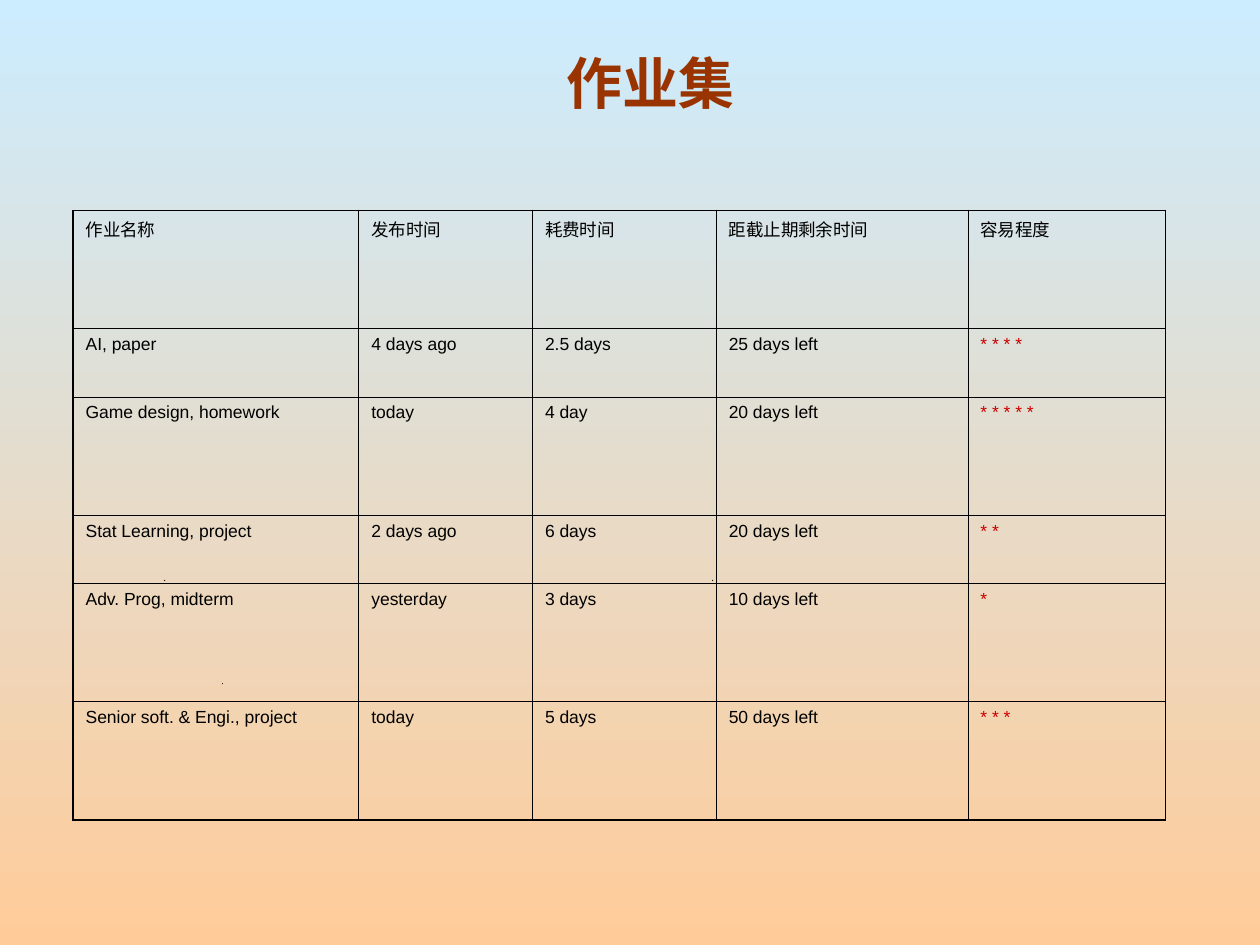
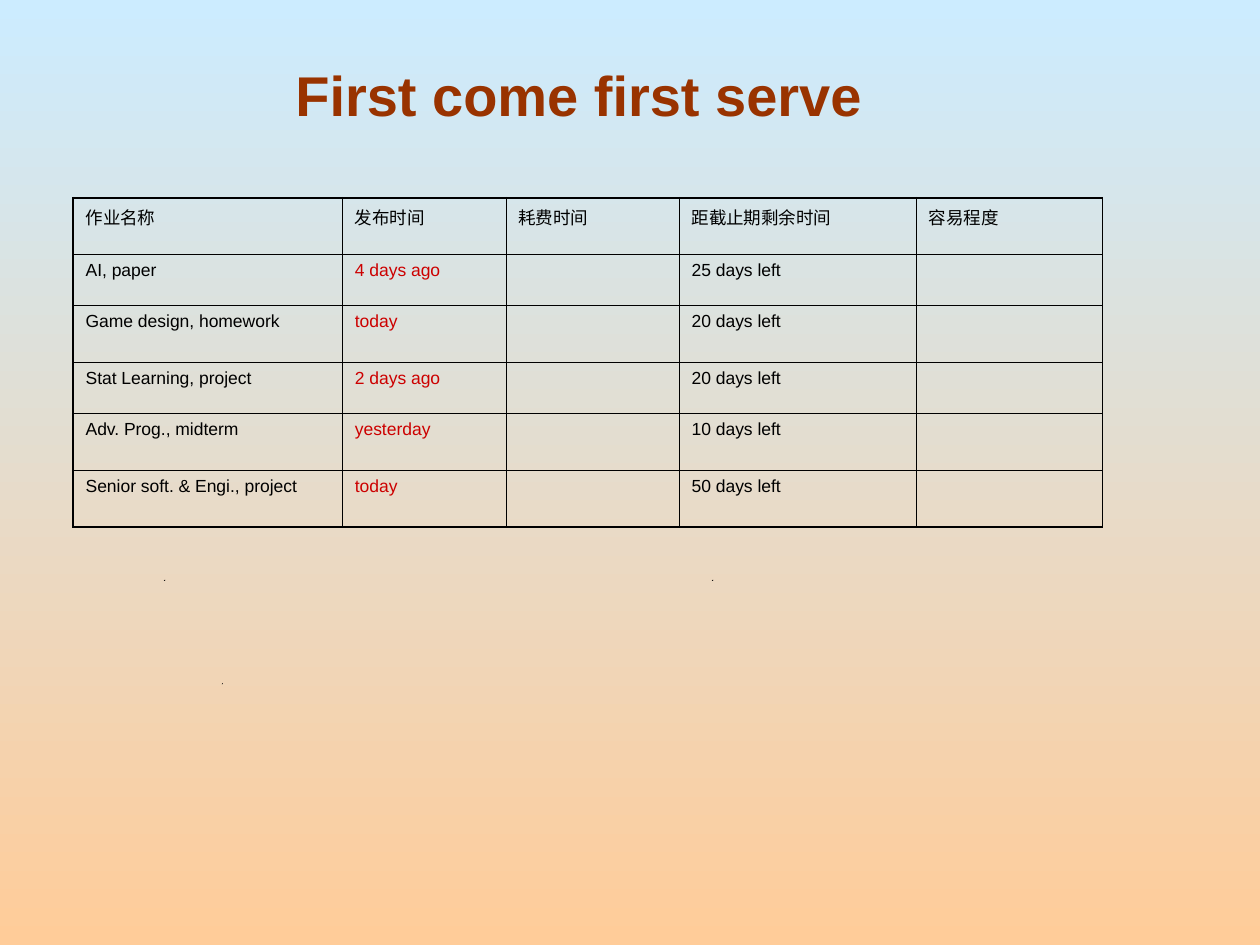
import dataclasses

import lxml.etree
import pptx
import pptx.dml.color
import pptx.enum.text
import pptx.oxml.ns
import pptx.presentation
import pptx.slide
import pptx.table
import pptx.util

Inches = pptx.util.Inches
Pt = pptx.util.Pt
Anchor = pptx.enum.text.MSO_ANCHOR


@dataclasses.dataclass(frozen=True)
class Theme:
    sky: str = "CCECFF"
    peach: str = "FFCC99"
    title: str = "993300"
    ink: str = "000000"
    key: str = "CC0000"
    font: str = "Arial"
    title_size: int = 32
    cell_size: int = 10
    outer_line: float = 1.08
    inner_line: float = 0.45


THEME = Theme()


@dataclasses.dataclass(frozen=True)
class Area:
    left: float
    top: float
    width: float
    height: float


@dataclasses.dataclass(frozen=True)
class Assignment:
    name: str
    released: str
    effort: str
    remaining: str
    ease: str


@dataclasses.dataclass(frozen=True)
class Schedule:
    """One slide: its title, its table and the field shown in the key colour."""
    title: str
    title_area: Area
    title_anchor: Anchor
    title_insets: tuple[float, float]
    left: float
    top: float
    width: float
    tall_row: float
    short_row: float
    key_field: str
    assignments: list[Assignment]


HEADINGS = Assignment("作业名称", "发布时间", "耗费时间", "距截止期剩余时间", "容易程度")
FIELDS = [field.name for field in dataclasses.fields(Assignment)]
COLUMN_PARTS = [2.27, 1.38, 1.46, 2, 1.57]
SHORT_ROWS = (1, 3)
SPECKS = [(1.76, 5.42), (1.3, 4.6), (5.65, 4.6)]
SPECK_SIZE = 0.01

ASSIGNMENTS = [
    Assignment("AI, paper", "4 days ago", "2.5 days", "25 days left", "* * * *"),
    Assignment("Game design, homework", "today", "4 day", "20 days left", "* * * * *"),
    Assignment("Stat Learning, project", "2 days ago", "6 days", "20 days left", "* *"),
    Assignment("Adv. Prog, midterm", "yesterday", "3 days", "10 days left", "*"),
    Assignment("Senior soft. & Engi., project", "today", "5 days", "50 days left", "* * *"),
]
ARRIVALS = [
    dataclasses.replace(item, name=item.name.replace("Prog,", "Prog.,"), effort="", ease="")
    for item in ASSIGNMENTS
]

SCHEDULES = [
    Schedule("作业集", Area(0.75, 0.25, 8.83, 0.67), Anchor.BOTTOM, (0, 0),
             0.58, 1.67, 8.67, 0.94, 0.54, "ease", ASSIGNMENTS),
    Schedule("First come first serve", Area(0.21, 0.25, 8.77, 1), Anchor.MIDDLE, (0.1, 0.05),
             0.58, 1.57, 8.17, 0.45, 0.38, "released", ARRIVALS),
]


def rgb(value: str) -> pptx.dml.color.RGBColor:
    return pptx.dml.color.RGBColor.from_string(value)


def paint_background(deck: pptx.presentation.Presentation) -> None:
    fill = deck.slide_master.background.fill
    fill.gradient()
    fill.gradient_angle = 270
    for stop, color in zip(fill.gradient_stops, (THEME.sky, THEME.peach)):
        stop.color.rgb = rgb(color)


def add_specks(page: pptx.slide.Slide) -> None:
    for left, top in SPECKS:
        right, bottom = Inches(left + SPECK_SIZE), Inches(top + SPECK_SIZE)
        builder = page.shapes.build_freeform(Inches(left), bottom)
        builder.add_line_segments([(right, Inches(top)), (right, bottom)])
        speck = builder.convert_to_shape()
        speck.shadow.inherit = False
        speck.fill.solid()
        speck.fill.fore_color.rgb = rgb(THEME.ink)
        speck.line.fill.background()


def style_paragraph(paragraph, size: int, color: str, bold: bool = False) -> None:
    for span in paragraph.runs:
        span.font.name = THEME.font
        span.font.size = Pt(size)
        span.font.bold = bold
        span.font.color.rgb = rgb(color)


def set_title(page: pptx.slide.Slide, schedule: Schedule) -> None:
    box, area = page.shapes.title, schedule.title_area
    box.left, box.top = Inches(area.left), Inches(area.top)
    box.width, box.height = Inches(area.width), Inches(area.height)
    frame = box.text_frame
    frame.text = schedule.title
    frame.word_wrap = True
    frame.auto_size = pptx.enum.text.MSO_AUTO_SIZE.NONE
    frame.vertical_anchor = schedule.title_anchor
    side, end = schedule.title_insets
    frame.margin_left = frame.margin_right = Inches(side)
    frame.margin_top = frame.margin_bottom = Inches(end)
    paragraph = frame.paragraphs[0]
    paragraph.alignment = pptx.enum.text.PP_ALIGN.CENTER
    style_paragraph(paragraph, THEME.title_size, THEME.title, bold=True)


def set_borders(cell: pptx.table._Cell, outer_sides: dict[str, bool]) -> None:
    """Draw the four borders, keyed L, R, T, B, heavier on the table's edge."""
    properties = cell._tc.get_or_add_tcPr()
    qualified = pptx.oxml.ns.qn
    for index, (side, outer) in enumerate(outer_sides.items()):
        width = Pt(THEME.outer_line if outer else THEME.inner_line)
        line = lxml.etree.Element(qualified(f"a:ln{side}"), w=str(int(width)))
        fill = lxml.etree.SubElement(line, qualified("a:solidFill"))
        lxml.etree.SubElement(fill, qualified("a:srgbClr"), val=THEME.ink)
        properties.insert(index, line)


def add_schedule_table(page: pptx.slide.Slide, schedule: Schedule) -> None:
    records = [HEADINGS, *schedule.assignments]
    heights = [schedule.short_row if row in SHORT_ROWS else schedule.tall_row
               for row in range(len(records))]
    table = page.shapes.add_table(
        len(records), len(FIELDS), Inches(schedule.left), Inches(schedule.top),
        Inches(schedule.width), Inches(sum(heights))).table
    table.first_row = table.horz_banding = False
    for column, part in zip(table.columns, COLUMN_PARTS):
        column.width = Inches(schedule.width * part / sum(COLUMN_PARTS))
    for row, height in zip(table.rows, heights):
        row.height = Inches(height)

    for row, record in enumerate(records):
        for column, field in enumerate(FIELDS):
            cell = table.cell(row, column)
            cell.text = getattr(record, field)
            cell.fill.background()
            is_key = row > 0 and field == schedule.key_field
            style_paragraph(cell.text_frame.paragraphs[0], THEME.cell_size,
                            THEME.key if is_key else THEME.ink)
            set_borders(cell, {"L": column == 0, "R": column == len(FIELDS) - 1,
                               "T": row == 0, "B": row == len(records) - 1})


def main() -> None:
    deck = pptx.Presentation()
    deck.slide_width, deck.slide_height = Inches(10), Inches(7.5)
    paint_background(deck)
    title_only = deck.slide_layouts.get_by_name("Title Only")
    for schedule in SCHEDULES:
        page = deck.slides.add_slide(title_only)
        add_specks(page)
        set_title(page, schedule)
        add_schedule_table(page, schedule)
    deck.save("out.pptx")


if __name__ == "__main__":
    main()
